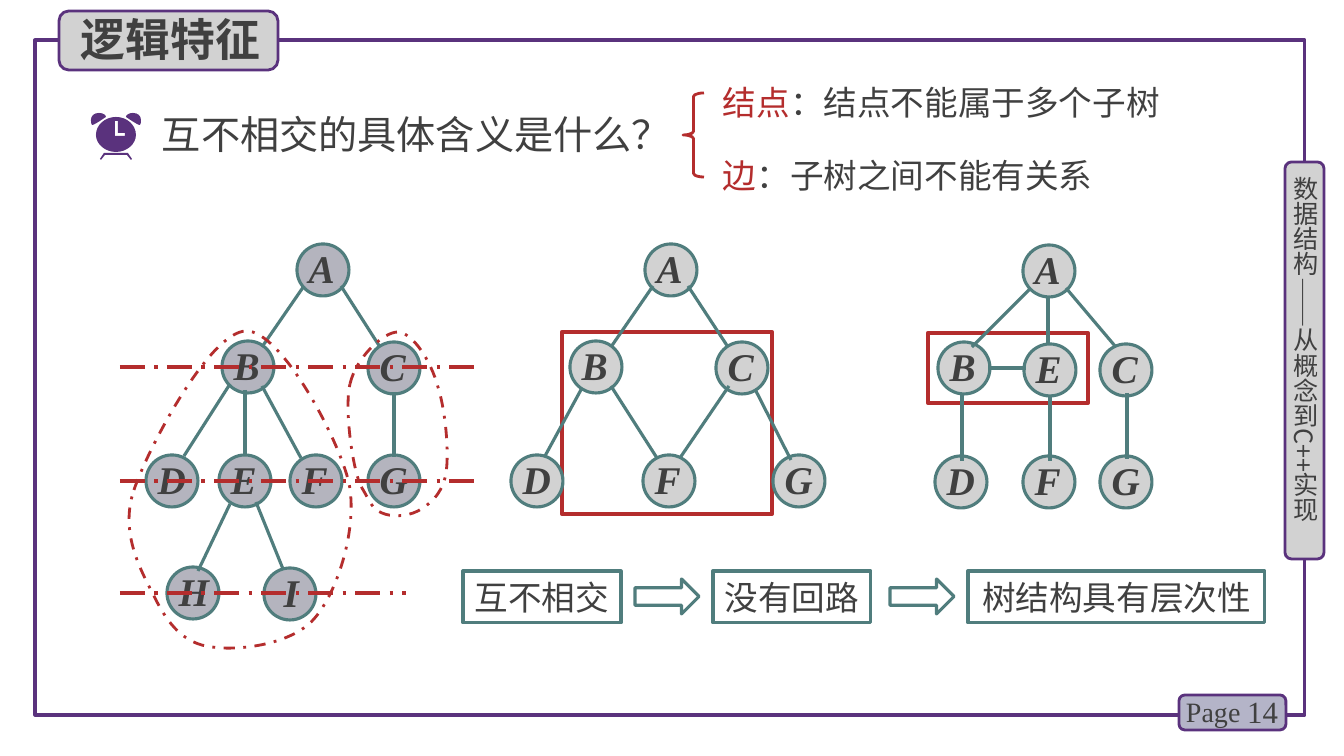
import pptx
import pptx.dml.color
import pptx.enum.dml
import pptx.enum.shapes
import pptx.enum.text
import pptx.oxml
import pptx.oxml.ns
import pptx.util

EMU_PER_PX = 914400 / 100.8
COLORS = {"purple": "5A327D", "gray": "D2D2D2", "lilac": "B4B4C8", "node": "B4B4BE",
          "teal": "507D7D", "red": "B42D2D", "text": "404040"}
SERIF, SANS = "Times New Roman", "Noto Sans CJK SC"
SHAPE = pptx.enum.shapes.MSO_SHAPE
ALIGN = pptx.enum.text.PP_ALIGN
ANCHOR = pptx.enum.text.MSO_ANCHOR
DASH = pptx.enum.dml.MSO_LINE
NODE_SIZE = 52
XMLNS = pptx.oxml.ns.nsdecls("a")


def px(n):
    return pptx.util.Emu(round(n * EMU_PER_PX))


def rgb(name):
    return pptx.dml.color.RGBColor.from_string(COLORS[name])


def paint(sp, fill=None, line=None, width=2.25, dash=None):
    sp.shadow.inherit = False
    if fill:
        sp.fill.solid()
        sp.fill.fore_color.rgb = rgb(fill)
    else:
        sp.fill.background()
    if line:
        sp.line.color.rgb = rgb(line)
        sp.line.width = pptx.util.Pt(width)
        sp.line.dash_style = dash
    else:
        sp.line.fill.background()
    return sp


def add_shape(shapes, kind, x, y, w, h, **look):
    return paint(shapes.add_shape(kind, px(x), px(y), px(w), px(h)), **look)


def straight(points):
    """Turn the corners of a polygon into Bézier points."""
    return points[:1] + [p for p in points[1:] + points[:1] for _ in range(3)]


def add_curves(shapes, x, y, *contours, **look):
    """Draw closed contours, each a start and groups of three cubic Bézier points."""
    builder = None
    for contour in contours:
        pts = [(px(x + a), px(y + b)) for a, b in contour]
        if builder:
            builder.move_to(*pts[0])
        else:
            builder = shapes.build_freeform(*pts[0], scale=1.0)
        builder.add_line_segments(pts[1:], close=True)
    sp = builder.convert_to_shape()
    segments = list(sp._element.iter(pptx.oxml.ns.qn("a:lnTo")))
    for i in range(0, len(segments), 3):
        curve = pptx.oxml.parse_xml(f"<a:cubicBezTo {XMLNS}/>")
        segments[i].addprevious(curve)
        for segment in segments[i:i + 3]:
            curve.append(segment[0])
            segment.getparent().remove(segment)
    return paint(sp, **look)


def add_line(shapes, start, end, color, dash=None):
    cn = shapes.add_connector(pptx.enum.shapes.MSO_CONNECTOR.STRAIGHT,
                              *map(px, (*start, *end)))
    cn.line.color.rgb = rgb(color)
    cn.line.width = pptx.util.Pt(2.25)
    cn.line.dash_style = dash
    cn._element.spPr.append(pptx.oxml.parse_xml(f"<a:effectLst {XMLNS}/>"))


def write(sp, runs, size, font=SERIF, align=ALIGN.LEFT, anchor=ANCHOR.TOP,
          margins=(10, 5, 10, 5), spacing=None, bold=None, italic=None):
    """Fill a shape with one paragraph of (text, color) runs."""
    tf = sp.text_frame
    tf.word_wrap = True
    tf.auto_size = pptx.enum.text.MSO_AUTO_SIZE.NONE
    tf.vertical_anchor = anchor
    tf.margin_left, tf.margin_top, tf.margin_right, tf.margin_bottom = map(px, margins)
    p = tf.paragraphs[0]
    p.alignment, p.line_spacing = align, spacing
    for text, color in runs:
        r = p.add_run()
        r.text = text
        r.font.size, r.font.bold, r.font.italic = pptx.util.Pt(size), bold, italic
        r.font.color.rgb = rgb(color)
        r.font.name = font
        r.font._element.append(pptx.oxml.parse_xml(f'<a:ea {XMLNS} typeface="{SANS}"/>'))


def add_text(shapes, x, y, w, h, runs, size, **style):
    sp = shapes.add_textbox(px(x), px(y), px(w), px(h))
    write(sp, runs, size, **style)
    return sp


def add_frame(shapes, x, y, w, h):
    add_shape(shapes, SHAPE.RECTANGLE, x, y, w, h, line="purple")
    right, bottom = x + w, y + h
    add_shape(shapes, SHAPE.ROUNDED_RECTANGLE, right - 126, bottom - 20, 107, 35,
              fill="lilac", line="purple", width=2)
    add_text(shapes, right - 88, bottom - 24, 71, 40, [("14", "text")], 22,
             align=ALIGN.RIGHT, anchor=ANCHOR.MIDDLE)
    add_text(shapes, right - 129, bottom - 26, 79, 44, [("Page", "text")], 20)
    add_shape(shapes, SHAPE.ROUNDED_RECTANGLE, right - 20, y + 122, 39, 397,
              fill="gray", line="purple", width=2)
    sp = add_text(shapes, right - 15, y + 136, 30, 381,
                  [("数据结构——从概念到C++实现", "text")], 18, font=SANS,
                  margins=(0, 0, 0, 0))
    sp.text_frame._txBody.bodyPr.set("vert", "eaVert")


def add_title(slide, x, y, w, h):
    add_shape(slide.shapes, SHAPE.ROUNDED_RECTANGLE, x, y, w, h,
              fill="gray", line="purple", width=2)
    sp = slide.shapes.title
    sp.left, sp.top, sp.width, sp.height = map(px, (x + 12, y - 4, w - 10, h + 5))
    write(sp, [("逻辑特征", "text")], 32, font=SANS, bold=True)
    slide.shapes._spTree.append(sp._element)  # in front of its badge


def add_clock(shapes, x, y):
    feet = straight([(9, 46), (13, 40), (37, 40), (41, 46), (40, 47), (36, 42),
                     (14, 42), (10, 47)])
    ear = [(8, 0), (3, 0), (0, 3), (0, 7), (0, 9), (0, 11), (1, 12),
           (2, 13), (15, 4), (15, 4), (15, 2), (12, 0), (8, 0)]
    face = [(25, 4), (14, 4), (5, 12), (5, 22), (5, 31), (14, 39), (25, 39),
            (36, 39), (45, 31), (45, 22), (45, 12), (36, 4), (25, 4)]
    hands = straight([(24, 8), (27, 8), (27, 20), (34, 20), (34, 23), (24, 23)])
    for part in ([feet], [ear], [[(50 - a, b) for a, b in ear]], [face, hands]):
        add_curves(shapes, x, y, *part, fill="purple")


def add_question(shapes, x, y):
    add_text(shapes, x + 61, y + 36, 528, 57, [("互不相交的具体含义是什么？", "text")],
             28, font=SANS)
    add_clock(shapes, x, y + 44)
    add_shape(shapes, SHAPE.LEFT_BRACE, x + 592, y + 24, 21, 84,
              line="red", width=2).adjustments[0] = 0.17
    answers = [("结点", "：结点不能属于多个子树"), ("边", "：子树之间不能有关系")]
    for i, (term, meaning) in enumerate(answers):
        add_text(shapes, x + 622, y + 73 * i, 560, 59,
                 [(term, "red"), (meaning, "text")], 24, spacing=1.2)


def add_tree(slide, x, y, fill, nodes, edges):
    """Draw nodes given as {letter: centre} and edges given as (x1, y1, x2, y2)."""
    shapes = slide.shapes.add_group_shape().shapes
    for letter, (cx, cy) in nodes.items():
        sp = add_shape(shapes, SHAPE.OVAL, x + cx - NODE_SIZE / 2, y + cy - NODE_SIZE / 2,
                       NODE_SIZE, NODE_SIZE, fill=fill, line="teal")
        write(sp, [(letter, "text")], 28, spacing=0.8, bold=True, italic=True,
              margins=(12 if letter == "I" else 4, 2, 4, 4))
    for x1, y1, x2, y2 in edges:
        add_line(shapes, (x + x1, y + y1), (x + x2, y + y2), "teal")


def add_subtree_loops(shapes, x, y):
    left = [(14, 246), (29, 202), (90, 88), (126, 87), (161, 86), (219, 195), (229, 239),
            (238, 283), (218, 348), (194, 375), (171, 401), (118, 407), (92, 403),
            (64, 400), (48, 380), (35, 354), (22, 328), (-1, 290), (14, 246)]
    right = [(230, 140), (236, 114), (263, 88), (278, 88), (293, 89), (311, 117),
             (318, 143), (326, 168), (330, 215), (325, 234), (320, 252), (310, 260),
             (298, 267), (286, 273), (271, 273), (262, 269), (252, 265), (251, 259),
             (242, 244), (233, 229), (224, 165), (230, 140)]
    for loop in (left, right):
        add_curves(shapes, x, y, loop, line="red", width=2, dash=DASH.DASH_DOT)


def add_levels(shapes, x, y):
    for level, length in ((123, 354), (237, 354), (349, 286)):
        add_line(shapes, (x, y + level), (x + length, y + level), "red", DASH.LONG_DASH_DOT)


def add_conclusions(shapes, x, y):
    for left, w, text in ((0, 158, "互不相交"), (250, 158, "没有回路"),
                          (505, 297, "树结构具有层次性")):
        if left:
            add_shape(shapes, SHAPE.RIGHT_ARROW, x + left - 78, y + 8, 64, 35, line="teal")
        sp = add_shape(shapes, SHAPE.RECTANGLE, x + left, y, w, 52, line="teal")
        write(sp, [(text, "text")], 24, align=ALIGN.CENTER, anchor=ANCHOR.MIDDLE)


def main():
    prs = pptx.Presentation()
    prs.slide_width, prs.slide_height = px(1344), px(756)
    slide = prs.slides.add_slide(prs.slide_layouts[5])
    shapes = slide.shapes
    add_frame(shapes, 35, 40, 1270, 675)
    for box in ((562, 332, 210, 182), (928, 333, 160, 70)):
        add_shape(shapes, SHAPE.RECTANGLE, *box, line="red", width=3)
    add_tree(slide, 120, 244, "node",
             {"A": (203, 26), "C": (274, 124), "B": (128, 123), "G": (274, 237),
              "F": (196, 237), "E": (125, 237), "D": (52, 237), "H": (73, 349),
              "I": (170, 350)},
             [(184, 42, 142, 103), (221, 42, 260, 103), (274, 148, 274, 213),
              (125, 146, 125, 212), (142, 142, 181, 214), (136, 258, 163, 325),
              (110, 140, 64, 212), (110, 260, 78, 327)])
    add_tree(slide, 512, 244, "gray",
             {"A": (159, 26), "C": (230, 124), "B": (84, 123), "G": (287, 237),
              "F": (157, 237), "D": (25, 237)},
             [(141, 42, 99, 103), (176, 42, 216, 103), (99, 142, 145, 214),
              (70, 144, 33, 212), (243, 145, 279, 216), (217, 142, 168, 214)])
    add_tree(slide, 935, 244, "gray",
             {"A": (114, 27), "C": (191, 126), "B": (29, 124), "G": (191, 238),
              "F": (114, 238), "D": (26, 238), "E": (115, 126)},
             [(96, 44, 37, 103), (131, 44, 180, 102), (192, 149, 192, 215),
              (113, 52, 113, 101), (115, 151, 115, 217), (27, 151, 27, 217),
              (91, 124, 53, 124)])
    add_question(shapes, 91, 69)
    add_subtree_loops(shapes, 120, 244)
    add_conclusions(shapes, 463, 571)
    add_title(slide, 59, 11, 219, 59)
    add_levels(shapes, 120, 244)
    prs.save("out.pptx")


if __name__ == "__main__":
    main()
